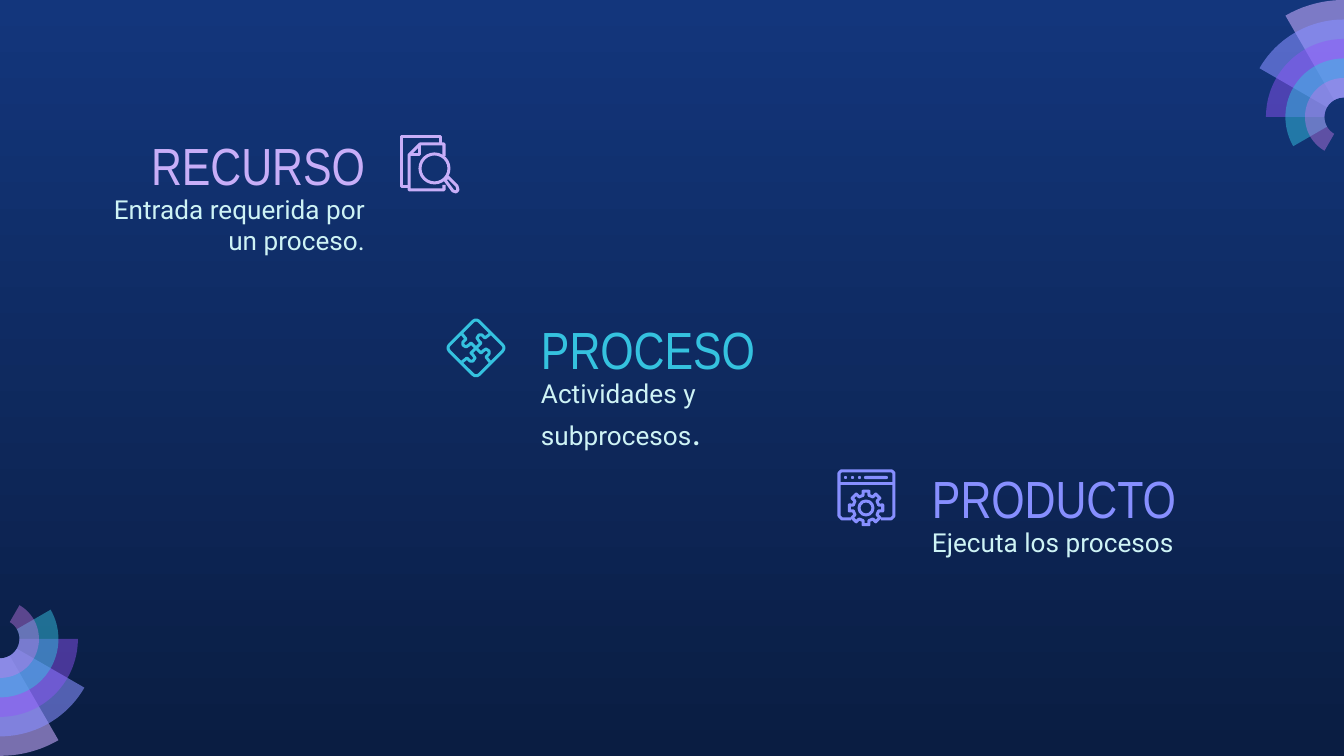
from math import cos, radians, sin

from lxml.etree import SubElement
from pptx import Presentation
from pptx.dml.color import RGBColor as Rgb
from pptx.enum.shapes import MSO_SHAPE as Preset
from pptx.enum.text import MSO_ANCHOR as Anchor, PP_ALIGN as Align
from pptx.oxml.ns import qn
from pptx.util import Emu, Pt

SCALE = 914400 / 134.4
COLORS = {
    "sky": "13367C", "night": "0A1D42", "lilac": "C8AEF8", "cyan": "35C2DF",
    "periwinkle": "878FFF", "mist": "CEF3F5", "lavender": "C8ACFD",
    "violet": "9154F8", "orchid": "CA7BEB",
}
RINGS = [("lavender", 58), ("periwinkle", 58), ("violet", 46), ("cyan", 49), ("orchid", 42)]
RING_STEP = 19.5


def px(value):
    """Turn pixels into EMU."""
    return Emu(round(value * SCALE))


def rgb(name):
    """Look up a named colour."""
    return Rgb.from_string(COLORS[name])


def polar(center, radius, angle):
    """Find a point at an angle in degrees, counter-clockwise from the right."""
    turn = radians(angle)
    return center[0] + radius * cos(turn), center[1] - radius * sin(turn)


def paint(shape, fill=None, line=None):
    """Give a shape a plain fill or a plain outline."""
    shape.shadow.inherit = False
    if fill:
        shape.fill.solid()
        shape.fill.fore_color.rgb = rgb(fill)
    else:
        shape.fill.background()
    if line:
        shape.line.color.rgb = rgb(line)
        shape.line.width = px(3)
    else:
        shape.line.fill.background()
    return shape


def add_path(page, points, closed=False, **colors):
    """Draw a freeform through pixel points."""
    corners = [(px(x), px(y)) for x, y in points]
    builder = page.shapes.build_freeform(*corners[0])
    builder.add_line_segments(corners[1:], close=closed)
    return paint(builder.convert_to_shape(), **colors)


def add_preset(page, kind, frame, **colors):
    """Draw a preset shape in a pixel frame."""
    return paint(page.shapes.add_shape(kind, *map(px, frame)), **colors)


def add_text(page, frame, runs, color, font, align=Align.LEFT, anchor=Anchor.TOP):
    """Write one paragraph of (text, size) runs in a box."""
    box = page.shapes.add_textbox(*map(px, frame)).text_frame
    layout = {"word_wrap": True, "vertical_anchor": anchor}
    layout.update({f"margin_{side}": px(13) for side in ("left", "top", "right", "bottom")})
    for key, value in layout.items():
        setattr(box, key, value)
    para = box.paragraphs[0]
    para.alignment = align
    for text, size in runs:
        span = para.add_run()
        span.text = text
        for key, value in {"name": font, "size": Pt(size)}.items():
            setattr(span.font, key, value)
        span.font.color.rgb = rgb(color)


def add_topic(page, left, top, width, title, body, color, align=Align.LEFT):
    """Write a heading with its description, aligned on one side."""
    inset = 309 - width if align == Align.RIGHT else 0
    add_text(page, (left + inset, top, width, 58), [(title, 28)], color,
             "Arial Narrow", align, Anchor.MIDDLE)
    add_text(page, (left, top + 44, 309, 120), body, "mist", "Roboto", align)


def add_fan(page, center, start):
    """Draw overlapping translucent ring sectors that widen by 30 degrees."""
    for index, (color, opacity) in enumerate(RINGS):
        end = start + 30 * (index + 1)
        angles = range(start, end + 1, 3)
        outer = [polar(center, RING_STEP * (6 - index), angle) for angle in angles]
        inner = [polar(center, RING_STEP, angle) for angle in reversed(angles)]
        shape = add_path(page, outer + inner, True, fill=color)
        tint = shape.fill._xPr.find(qn("a:solidFill"))[0]
        SubElement(tint, qn("a:alpha")).set("val", str(opacity * 1000))


def add_search_icon(page, color):
    """Draw two sheets with a magnifying glass."""
    strokes = [
        [(408, 187), (402, 187), (402, 137), (441, 137), (441, 143)],
        [(444, 156), (444, 144), (420, 144), (409, 155), (409, 190), (444, 190), (444, 185)],
        [(420, 144), (420, 155), (409, 155)],
        [(445, 180), (448, 177), (457, 186), (458, 190), (456, 192), (453, 191), (445, 180)],
    ]
    for points in strokes:
        add_path(page, points, line=color)
    add_preset(page, Preset.OVAL, (420, 154, 29, 29), line=color)


def add_puzzle_icon(page, color):
    """Draw a diamond split by four seams, each a quarter turn apart."""
    tile = add_preset(page, Preset.ROUNDED_RECTANGLE, (455, 327, 42, 42), line=color)
    tile.adjustments[0] = 0.1
    tile.rotation = 45
    seam = [(-14, -14), (-10, -9), (-13, -6), (-13, -3), (-10, -1), (-7, -3), (-5, -5), (0, 0)]
    for _ in range(4):
        add_path(page, [(476 + x, 348 + y) for x, y in seam], line=color)
        seam = [(-y, x) for x, y in seam]


def add_gear_icon(page, color):
    """Draw a browser window with a gear."""
    add_path(page, [(851, 519), (842, 519), (839, 516), (839, 473), (841, 471),
                    (892, 471), (894, 473), (894, 516), (891, 519), (881, 519)], line=color)
    add_path(page, [(839, 484), (894, 484)], line=color)
    for left in (844, 851, 858):
        add_preset(page, Preset.OVAL, (left, 476, 3, 3), fill=color)
    bar = add_preset(page, Preset.ROUNDED_RECTANGLE, (864, 476, 24, 3), fill=color)
    bar.adjustments[0] = 0.5
    center = (866, 508)
    tooth = [(13, -13), (17, -10), (17, 10), (13, 13)]
    teeth = [polar(center, radius, angle + turn)
             for angle in range(0, 360, 45) for radius, turn in tooth]
    add_path(page, teeth, True, line=color)
    add_preset(page, Preset.OVAL, (859, 501, 14, 14), line=color)


def add_background(page):
    """Fill the page with a vertical gradient."""
    fill = page.background.fill
    fill.gradient()
    fill.gradient_angle = 270
    for stop, color, position in zip(fill.gradient_stops, ("sky", "night"), (0, 1)):
        stop.color.rgb = rgb(color)
        stop.position = position


def main():
    """Build the slide and save it."""
    deck = Presentation()
    deck.slide_width, deck.slide_height = px(1344), px(756)
    page = deck.slides.add_slide(deck.slide_layouts[6])
    add_background(page)
    add_fan(page, (1344, 117), 90)
    add_fan(page, (0, 639), 270)
    add_topic(page, 69, 136, 247, "RECURSO", [("Entrada requerida por un proceso.", 14)],
              "lilac", Align.RIGHT)
    add_topic(page, 528, 320, 247, "PROCESO", [("Actividades y subprocesos", 14), (".", 20)],
              "cyan")
    add_topic(page, 919, 469, 309, "PRODUCTO", [("Ejecuta los procesos", 14)], "periwinkle")
    add_search_icon(page, "lilac")
    add_puzzle_icon(page, "cyan")
    add_gear_icon(page, "periwinkle")
    deck.save("out.pptx")


if __name__ == "__main__":
    main()
